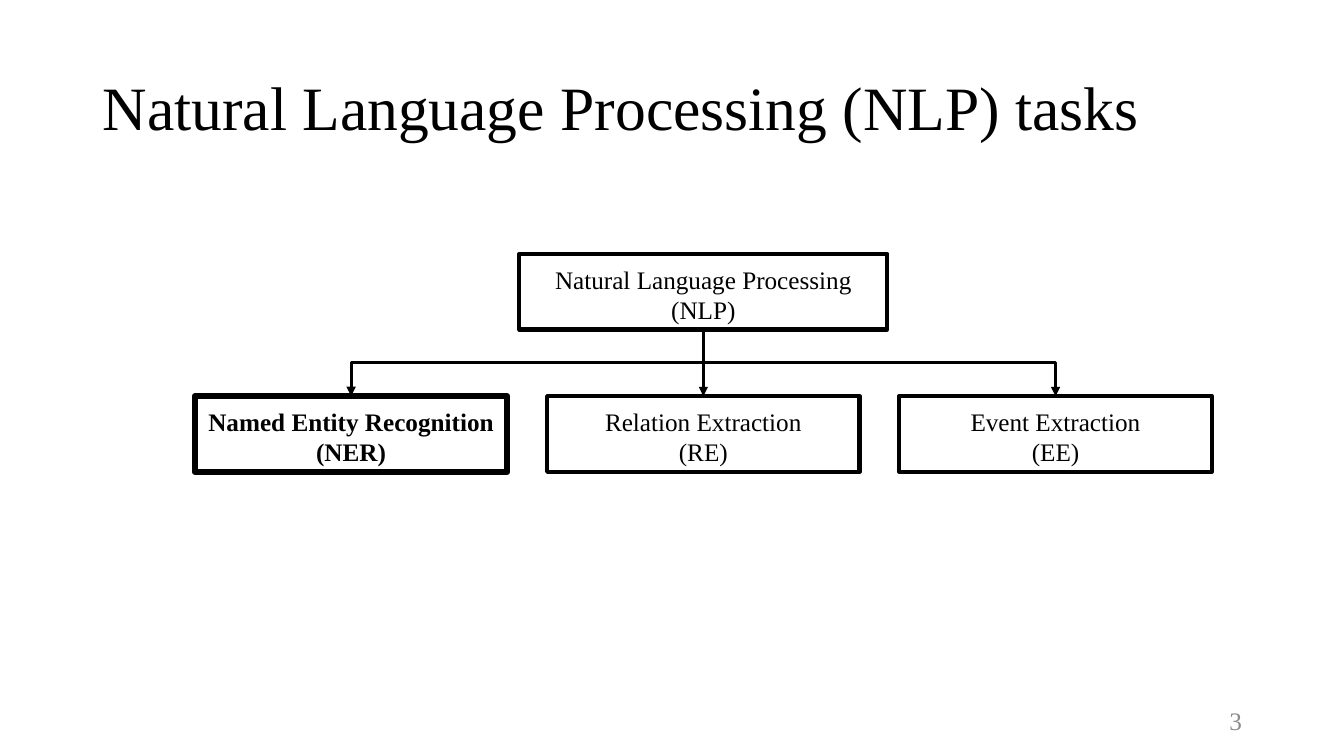
"""Build a slide with a tree of natural language processing tasks."""
import pptx
import pptx.dml.color
import pptx.enum.shapes
import pptx.enum.text
import pptx.oxml
import pptx.oxml.ns
import pptx.util

Pt = pptx.util.Pt
Align = pptx.enum.text.PP_ALIGN
Link = pptx.enum.shapes.MSO_CONNECTOR

TITLE = "Natural Language Processing (NLP) tasks"
PAGE = "3"
ROOT = "Natural Language Processing\n(NLP)"
TASKS = [
    ("Named Entity Recognition\n(NER)", True),
    ("Relation Extraction\n(RE)", False),
    ("Event Extraction\n(EE)", False),
]
FONT, BLACK, GREY = "Times New Roman", "000000", "8C8C8C"
MID, STEP = 502.4, 251.6
ROOT_W, TASK_W, BOX_H = 262.8, 223.2, 54
ROOT_Y, TASK_Y = 181.4, 283

deck = pptx.Presentation()
deck.slide_width, deck.slide_height = Pt(960), Pt(540)
slide = deck.slides.add_slide(deck.slide_layouts[6])
shapes = slide.shapes


def color(code):
    return pptx.dml.color.RGBColor.from_string(code)


def write(shape, text, size=18, tone=BLACK, bold=False, align=Align.CENTER, space=1.0):
    frame = shape.text_frame
    frame.word_wrap = True
    frame.vertical_anchor = pptx.enum.text.MSO_ANCHOR.MIDDLE
    frame.text = text
    for para in frame.paragraphs:
        para.alignment, para.line_spacing = align, space
        for run in para.runs:
            font = run.font
            font.name, font.size, font.bold = FONT, Pt(size), bold
            font.color.rgb = color(tone)


def label(text, left, top, width, height, **form):
    write(shapes.add_textbox(Pt(left), Pt(top), Pt(width), Pt(height)), text, **form)


def box(text, mid, top, width, bold=False):
    kind = pptx.enum.shapes.MSO_SHAPE.RECTANGLE
    shape = shapes.add_shape(kind, Pt(mid - width / 2), Pt(top), Pt(width), Pt(BOX_H))
    shape.shadow.inherit = False
    shape.fill.background()
    shape.line.color.rgb = color(BLACK)
    shape.line.width = Pt(4.5 if bold else 3)
    shape.text_frame.margin_bottom = 0
    write(shape, text, bold=bold)


def arrow(kind, x1, y1, x2, y2, turn=0):
    link = shapes.add_connector(kind, Pt(x1), Pt(y1), Pt(x2), Pt(y2))
    link.line.color.rgb = color(BLACK)
    link.line.width = Pt(2.25)
    props = link._element.spPr
    if turn:
        props.find(pptx.oxml.ns.qn("a:xfrm")).set("rot", str(turn * 60000))
    space = pptx.oxml.ns.nsdecls("a")
    tip = pptx.oxml.parse_xml(f'<a:tailEnd {space} type="triangle"/>')
    link.line._get_or_add_ln().append(tip)
    props.append(pptx.oxml.parse_xml(f"<a:effectLst {space}/>"))


def branch(side):
    """Join the root to the task on the given side (-1, 0 or 1)."""
    start = ROOT_Y + BOX_H
    if side == 0:
        arrow(Link.STRAIGHT, MID, start, MID, TASK_Y)
        return
    half = (TASK_Y - start) / 2
    x, y = MID + side * STEP / 2, start + half
    turn = 270 if side > 0 else 90
    arrow(Link.ELBOW, x + side * half, y - STEP / 2, x - side * half, y + STEP / 2, turn)


label(TITLE, 66.2, 26.6, 828, 104.4, size=44, align=Align.LEFT, space=0.9)
label(PAGE, 678.2, 500.4, 216, 28.8, tone=GREY, align=Align.RIGHT)
box(ROOT, MID, ROOT_Y, ROOT_W)
for side, (text, bold) in enumerate(TASKS, -1):
    box(text, MID + side * STEP, TASK_Y, TASK_W, bold)
    branch(side)

deck.save("out.pptx")
